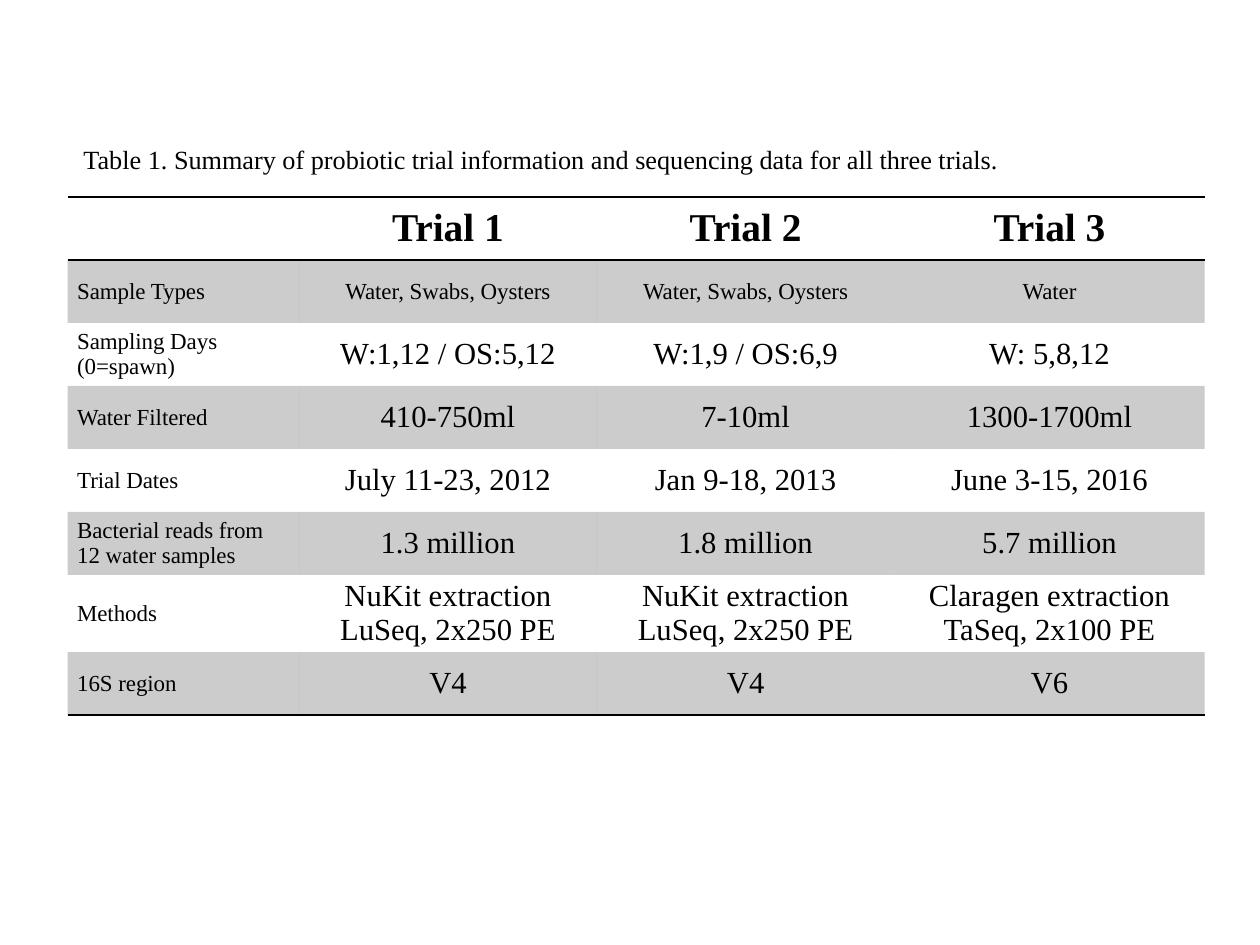
import pptx
import pptx.util
import pptx.dml.color
import pptx.enum.text
import pptx.oxml.ns
import lxml.etree

Inches = pptx.util.Inches
ALIGN = pptx.enum.text.PP_ALIGN
MID = pptx.enum.text.MSO_ANCHOR.MIDDLE
INK = "000000"


def color(code):
    return pptx.dml.color.RGBColor.from_string(code)


def write(frame, text, size=14, bold=False, align=ALIGN.CENTER):
    frame.text = text
    for para in frame.paragraphs:
        para.alignment = align
        for run in para.runs:
            run.font.name = "Times New Roman"
            run.font.size = pptx.util.Pt(size)
            run.font.bold = bold
            run.font.color.rgb = color(INK)


deck = pptx.Presentation()
deck.slide_width, deck.slide_height = Inches(8), Inches(6)
slide = deck.slides.add_slide(deck.slide_layouts[5])
left = Inches(0.43)

title = slide.shapes.title
title.left, title.top = left, Inches(0.86)
title.width, title.height = Inches(6.75), Inches(0.3)
title.text_frame.word_wrap = True
title.text_frame.auto_size = pptx.enum.text.MSO_AUTO_SIZE.NONE
title.text_frame.vertical_anchor = MID
write(
    title.text_frame,
    "Table 1. Summary of probiotic trial information and sequencing data for all three trials.",
    size=12,
    align=ALIGN.LEFT,
)

rows = [
    ["", "Trial 1", "Trial 2", "Trial 3"],
    ["Sample Types", "Water, Swabs, Oysters", "Water, Swabs, Oysters", "Water"],
    ["Sampling Days\n(0=spawn)", "W:1,12 / OS:5,12", "W:1,9 / OS:6,9", "W: 5,8,12"],
    ["Water Filtered", "410-750ml", "7-10ml", "1300-1700ml"],
    ["Trial Dates", "July 11-23, 2012", "Jan 9-18, 2013", "June 3-15, 2016"],
    ["Bacterial reads from 12 water samples", "1.3 million", "1.8 million", "5.7 million"],
    ["Methods", "NuKit extraction\nLuSeq, 2x250 PE", "NuKit extraction\nLuSeq, 2x250 PE",
     "Claragen extraction\nTaSeq, 2x100 PE"],
    ["16S region", "V4", "V4", "V6"],
]
wide = [1.47, 1.89, 1.89, 1.97]
tall = [0.4] * 6 + [0.46, 0.4]
last = len(rows) - 1

grid = slide.shapes.add_table(
    len(rows), len(wide), left, Inches(1.25), Inches(sum(wide)), Inches(sum(tall))
).table
grid.first_row = grid.horz_banding = False
style = grid._tbl.tblPr.find(pptx.oxml.ns.qn("a:tableStyleId"))
style.text = "{2D5ABB26-0587-4C30-8999-92F81FD0307C}"
for col, size in zip(grid.columns, wide):
    col.width = Inches(size)
for row, size in zip(grid.rows, tall):
    row.height = Inches(size)

for r, texts in enumerate(rows):
    edges = {0: ["lnT", "lnB"], last: ["lnB"]}.get(r, [])
    for c, text in enumerate(texts):
        cell = grid.cell(r, c)
        cell.vertical_anchor = MID
        cell.margin_left = cell.margin_right = Inches(0.06)
        cell.margin_top = cell.margin_bottom = Inches(0.03)
        size = 18 if r == 0 else 10.5 if c == 0 or r == 1 else 14
        side = ALIGN.LEFT if c == 0 else ALIGN.CENTER
        write(cell.text_frame, text, size=size, bold=r == 0, align=side)

        props = cell._tc.get_or_add_tcPr()
        for edge in edges:
            line = lxml.etree.SubElement(props, pptx.oxml.ns.qn("a:" + edge), w="12700")
            fill = lxml.etree.SubElement(line, pptx.oxml.ns.qn("a:solidFill"))
            lxml.etree.SubElement(fill, pptx.oxml.ns.qn("a:srgbClr"), val=INK)

        if r % 2:
            cell.fill.solid()
            cell.fill.fore_color.rgb = color(INK)
            tint = props.find(".//" + pptx.oxml.ns.qn("a:solidFill") + "[last()]")
            tint = props.findall(pptx.oxml.ns.qn("a:solidFill"))[0][0]
            lxml.etree.SubElement(tint, pptx.oxml.ns.qn("a:alpha"), val="20000")
        else:
            cell.fill.background()

deck.save("out.pptx")
